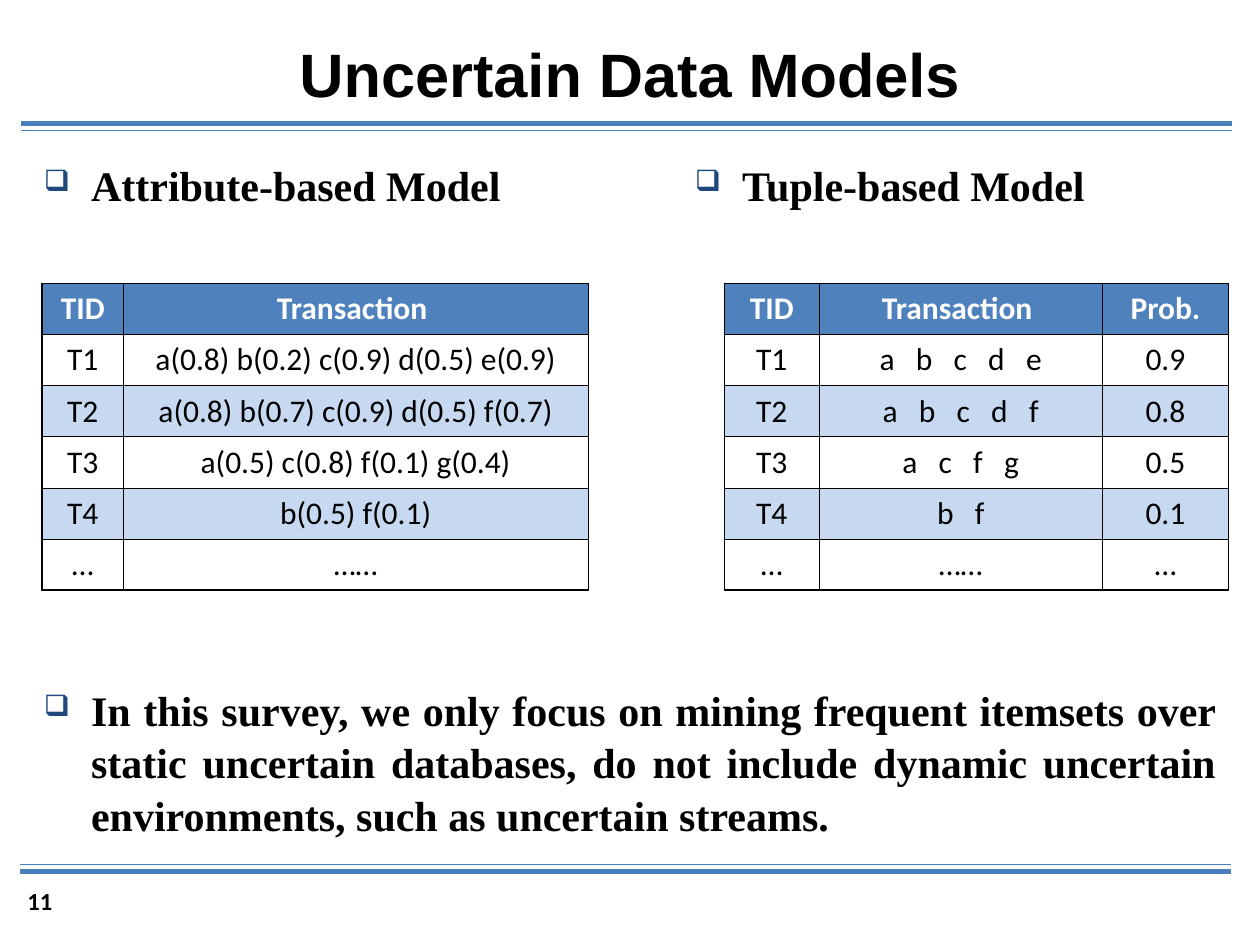
"""Build the slide on attribute-based and tuple-based uncertain data models."""
from dataclasses import dataclass

from lxml.etree import SubElement
from pptx import Presentation
from pptx.dml.color import RGBColor
from pptx.enum.shapes import MSO_CONNECTOR
from pptx.enum.text import MSO_ANCHOR, PP_ALIGN
from pptx.oxml.ns import qn
from pptx.util import Pt

COLORS = {
    "text": "000000",
    "header_text": "FFFFFF",
    "header": "4F81BD",
    "band": "C6D9F1",
    "rule": "4A7EBB",
    "bullet": "1F497D",
    "border": "000000",
}
THIN, THICK = 0.45, 1.08
ROW_HEIGHT = 29.2
SERIF = "Times New Roman"


@dataclass
class Rule:
    left: float
    top: float
    width: float
    weight: float


@dataclass
class Bullet:
    text: str
    left: float
    top: float
    width: float
    height: float
    align: PP_ALIGN = PP_ALIGN.LEFT


@dataclass
class Grid:
    left: float
    top: float
    widths: list[float]
    rows: list[list[str]]
    spacing: float = 0


RULES = [
    Rule(12.2, 70.6, 692, 3),
    Rule(12.2, 74.5, 692, 0.75),
    Rule(11.5, 498.2, 692, 3),
    Rule(11.5, 493.9, 692, 0.75),
]
BULLETS = [
    Bullet("Attribute-based Model", 18, 84, 282, 36),
    Bullet("Tuple-based Model", 390, 84, 282, 36),
    Bullet(
        "In this survey, we only focus on mining frequent itemsets over static "
        "uncertain databases, do not include dynamic uncertain environments, "
        "such as uncertain streams.",
        18, 384, 684, 102, PP_ALIGN.JUSTIFY,
    ),
]
GRIDS = [
    Grid(24, 162, [46.6, 265.4], [
        ["TID", "Transaction "],
        ["T1", "a(0.8) b(0.2) c(0.9) d(0.5) e(0.9)"],
        ["T2", "a(0.8) b(0.7) c(0.9) d(0.5) f(0.7)"],
        ["T3", "a(0.5) c(0.8) f(0.1) g(0.4)"],
        ["T4", "b(0.5) f(0.1)"],
        ["…", "……"],
    ]),
    Grid(414, 162, [54, 162, 72], [
        ["TID", "Transaction ", "Prob."],
        ["T1", "a b c d e", "0.9"],
        ["T2", "a b c d f", "0.8"],
        ["T3", "a c f g", "0.5"],
        ["T4", "b f", "0.1"],
        ["…", "……", "…"],
    ], spacing=4.05),
]


def rgb(name: str) -> RGBColor:
    return RGBColor.from_string(COLORS[name])


def write(tf, text: str, *, size: float, font: str, color: str = "text",
          bold: bool = False, align: PP_ALIGN = PP_ALIGN.LEFT,
          spacing: float = 0):
    p = tf.paragraphs[0]
    p.alignment = align
    r = p.add_run()
    r.text = text
    r.font.size = Pt(size)
    r.font.name = font
    r.font.bold = bold
    r.font.color.rgb = rgb(color)
    if spacing:
        r.font._element.set("spc", str(round(spacing * 100)))
    return p


def add_rule(s, rule: Rule) -> None:
    line = s.shapes.add_connector(
        MSO_CONNECTOR.STRAIGHT, Pt(rule.left), Pt(rule.top),
        Pt(rule.left + rule.width), Pt(rule.top))
    line.line.color.rgb = rgb("rule")
    line.line.width = Pt(rule.weight)
    SubElement(line._element.spPr, qn("a:effectLst"))


def add_box(s, left: float, top: float, width: float, height: float):
    tf = s.shapes.add_textbox(Pt(left), Pt(top), Pt(width), Pt(height)).text_frame
    tf.word_wrap = True
    return tf


def add_bullet(s, item: Bullet) -> None:
    tf = add_box(s, item.left, item.top, item.width, item.height)
    tf.margin_top = Pt(5.5)
    p = write(tf, item.text, size=24, font=SERIF, bold=True, align=item.align)
    p.line_spacing = 1.05
    pPr = p._p.get_or_add_pPr()
    pPr.set("marL", str(Pt(27)))
    pPr.set("indent", str(Pt(-27)))
    SubElement(SubElement(pPr, qn("a:buClr")), qn("a:srgbClr"), val=COLORS["bullet"])
    SubElement(pPr, qn("a:buSzPct"), val="70000")
    SubElement(pPr, qn("a:buChar"), char="❑")


def set_border(cell, side: str, weight: float) -> None:
    ln = SubElement(cell._tc.get_or_add_tcPr(), qn(f"a:ln{side}"), w=str(Pt(weight)))
    fill = SubElement(ln, qn("a:solidFill"))
    SubElement(fill, qn("a:srgbClr"), val=COLORS["border"])


def add_grid(s, grid: Grid) -> None:
    n_rows, n_cols = len(grid.rows), len(grid.widths)
    table = s.shapes.add_table(
        n_rows, n_cols, Pt(grid.left), Pt(grid.top),
        Pt(sum(grid.widths)), Pt(ROW_HEIGHT * n_rows)).table
    table.first_row = table.horz_banding = False
    for column, width in zip(table.columns, grid.widths):
        column.width = Pt(width)
    for i, row in enumerate(grid.rows):
        table.rows[i].height = Pt(ROW_HEIGHT)
        header = i == 0
        for j, text in enumerate(row):
            cell = table.cell(i, j)
            cell.vertical_anchor = MSO_ANCHOR.MIDDLE
            set_border(cell, "L", THICK if j == 0 else THIN)
            set_border(cell, "R", THIN)
            set_border(cell, "T", THICK if header else THIN)
            set_border(cell, "B", THICK if i == n_rows - 1 else THIN)
            if header or i % 2 == 0:
                cell.fill.solid()
                cell.fill.fore_color.rgb = rgb("header" if header else "band")
            else:
                cell.fill.background()
            write(cell.text_frame, text, size=18, font="Calibri", bold=header,
                  color="header_text" if header else "text",
                  align=PP_ALIGN.CENTER,
                  spacing=grid.spacing if " " in text.strip() else 0)


def main() -> None:
    prs = Presentation()
    prs.slide_width, prs.slide_height = Pt(720), Pt(540)
    s = prs.slides.add_slide(prs.slide_layouts[5])
    for rule in RULES:
        add_rule(s, rule)
    title = s.shapes.title
    title.left, title.top, title.width, title.height = Pt(0), Pt(13), Pt(720), Pt(57)
    title.text_frame.vertical_anchor = MSO_ANCHOR.MIDDLE
    write(title.text_frame, "Uncertain Data Models", size=35, font="Arial",
          bold=True, align=PP_ALIGN.CENTER)
    for item in BULLETS:
        add_bullet(s, item)
    for grid in GRIDS:
        add_grid(s, grid)
    write(add_box(s, 8.6, 502.6, 73.4, 28.8), "11", size=14, font="Calibri", bold=True)
    prs.save("out.pptx")


if __name__ == "__main__":
    main()
